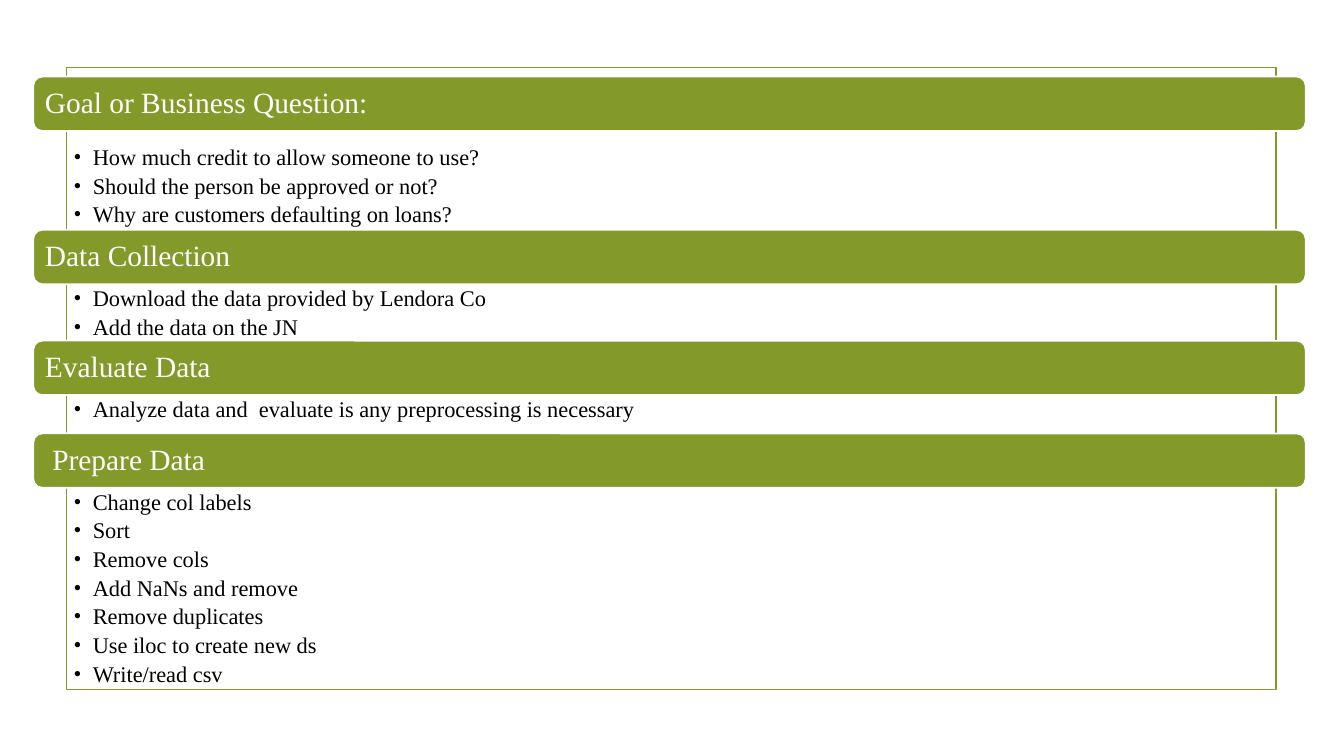
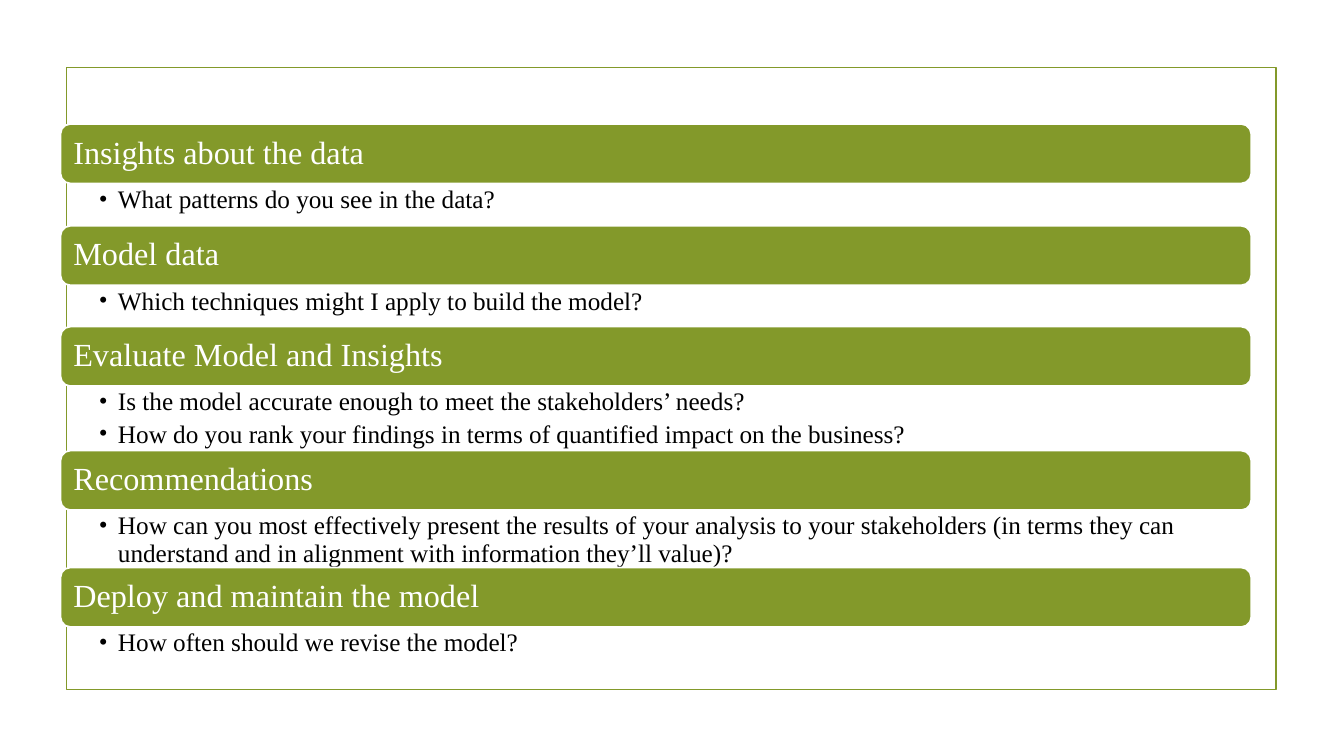
from dataclasses import dataclass

from lxml.etree import SubElement
from pptx import Presentation
from pptx.dml.color import RGBColor
from pptx.enum.shapes import MSO_SHAPE as Preset
from pptx.enum.text import MSO_ANCHOR as Anchor, PP_ALIGN as Align
from pptx.oxml.ns import qn
from pptx.util import Inches, Pt

COLORS = {"green": "83992A", "white": "FFFFFF", "black": "000000"}
FONT = "Times New Roman"
BLANK_LAYOUT = 6


def color(name):
    return RGBColor.from_string(COLORS[name])


def write(frame, lines, *, size, fill, insets, anchor=Anchor.TOP, bullet_indent=None):
    frame.word_wrap = True
    frame.vertical_anchor = anchor
    frame.margin_left, frame.margin_top, frame.margin_right, frame.margin_bottom = (
        Inches(inset) for inset in insets
    )
    for index, line in enumerate(lines):
        paragraph = frame.add_paragraph() if index else frame.paragraphs[0]
        paragraph.alignment = Align.LEFT
        paragraph.line_spacing = 0.9
        run = paragraph.add_run()
        run.text = line
        run.font.name = FONT
        run.font.size = Pt(size)
        run.font.color.rgb = color(fill)
        if bullet_indent:
            paragraph.space_after = Pt(size * 0.2)
            properties = paragraph._p.get_or_add_pPr()
            properties.set("marL", str(Inches(bullet_indent)))
            properties.set("indent", str(-Inches(bullet_indent)))
            SubElement(properties, qn("a:buFont"), typeface=FONT)
            SubElement(properties, qn("a:buChar"), char="•")


@dataclass
class ListStyle:
    left: float
    top: float
    width: float
    bar_height: float
    bar_inset: float
    heading_size: int
    body_size: int
    body_insets: tuple


@dataclass
class Section:
    heading: str
    body_height: float
    bullets: list
    gap: float = 0


class Deck:
    def __init__(self):
        self.presentation = Presentation()
        self.presentation.slide_width = Inches(13.33)
        self.presentation.slide_height = Inches(7.5)
        self.slide = None
        self.style = None

    def add_slide(self, style):
        layout = self.presentation.slide_layouts[BLANK_LAYOUT]
        self.slide = self.presentation.slides.add_slide(layout)
        self.style = style
        self.add_box(Preset.RECTANGLE, 0.66, 0.67, 12, 6.17, line="green")

    def add_box(self, preset, left, top, width, height, *, line, fill=None):
        shape = self.slide.shapes.add_shape(
            preset, Inches(left), Inches(top), Inches(width), Inches(height)
        )
        shape.shadow.inherit = False
        shape.line.color.rgb = color(line)
        shape.line.width = Pt(1.25)
        if fill:
            shape.fill.solid()
            shape.fill.fore_color.rgb = color(fill)
        else:
            shape.fill.background()
        return shape

    def add_bar(self, heading, top):
        style = self.style
        bar = self.add_box(Preset.ROUNDED_RECTANGLE, style.left, top, style.width,
                           style.bar_height, line="white", fill="green")
        write(bar.text_frame, [heading], size=style.heading_size, fill="white",
              insets=(style.bar_inset, 0, style.bar_inset, 0), anchor=Anchor.MIDDLE)

    def add_bullets(self, bullets, top, height):
        style = self.style
        box = self.slide.shapes.add_textbox(
            Inches(style.left), Inches(top), Inches(style.width), Inches(height)
        )
        write(box.text_frame, bullets, size=style.body_size, fill="black",
              insets=style.body_insets, bullet_indent=0.19)

    def add_sections(self, sections):
        top = self.style.top
        for section in sections:
            self.add_bar(section.heading, top)
            top += self.style.bar_height + section.gap
            self.add_bullets(section.bullets, top, section.body_height)
            top += section.body_height


PREPARATION_STYLE = ListStyle(0.33, 0.76, 12.62, 0.54, 0.09, 21, 16, (0.4, 0.03, 0.16, 0.03))
MODELING_STYLE = ListStyle(0.6, 1.23, 11.81, 0.59, 0.1, 23, 18, (0.38, 0.03, 0.18, 0.03))

PREPARATION = [
    Section("Goal or Business Question:", 0.86, [
        "How much credit to allow someone to use?",
        "Should the person be approved or not?",
        "Why are customers defaulting on loans?",
    ], gap=0.12),
    Section("Data Collection", 0.56, [
        "Download the data provided by Lendora Co",
        "Add the data on the JN",
    ]),
    Section("Evaluate Data", 0.38, [
        "Analyze data and  evaluate is any preprocessing is necessary",
    ]),
    Section(" Prepare Data", 1.95, [
        "Change col labels",
        "Sort",
        "Remove cols",
        "Add NaNs and remove",
        "Remove duplicates",
        "Use iloc to create new ds",
        "Write/read csv",
    ]),
]

MODELING = [
    Section("Insights about the data", 0.42, ["What patterns do you see in the data?"]),
    Section("Model data", 0.41, ["Which techniques might I apply to build the model?"]),
    Section("Evaluate Model and Insights", 0.64, [
        "Is the model accurate enough to meet the stakeholders’ needs?",
        "How do you rank your findings in terms of quantified impact on the business?",
    ]),
    Section("Recommendations", 0.57, [
        "How can you most effectively present the results of your analysis to your "
        "stakeholders (in terms they can understand and in alignment with information "
        "they’ll value)?",
    ]),
    Section("Deploy and maintain the model", 0.42, ["How often should we revise the model?"]),
]


def main():
    deck = Deck()
    for style, sections in ((PREPARATION_STYLE, PREPARATION), (MODELING_STYLE, MODELING)):
        deck.add_slide(style)
        deck.add_sections(sections)
    deck.presentation.save("out.pptx")


if __name__ == "__main__":
    main()
